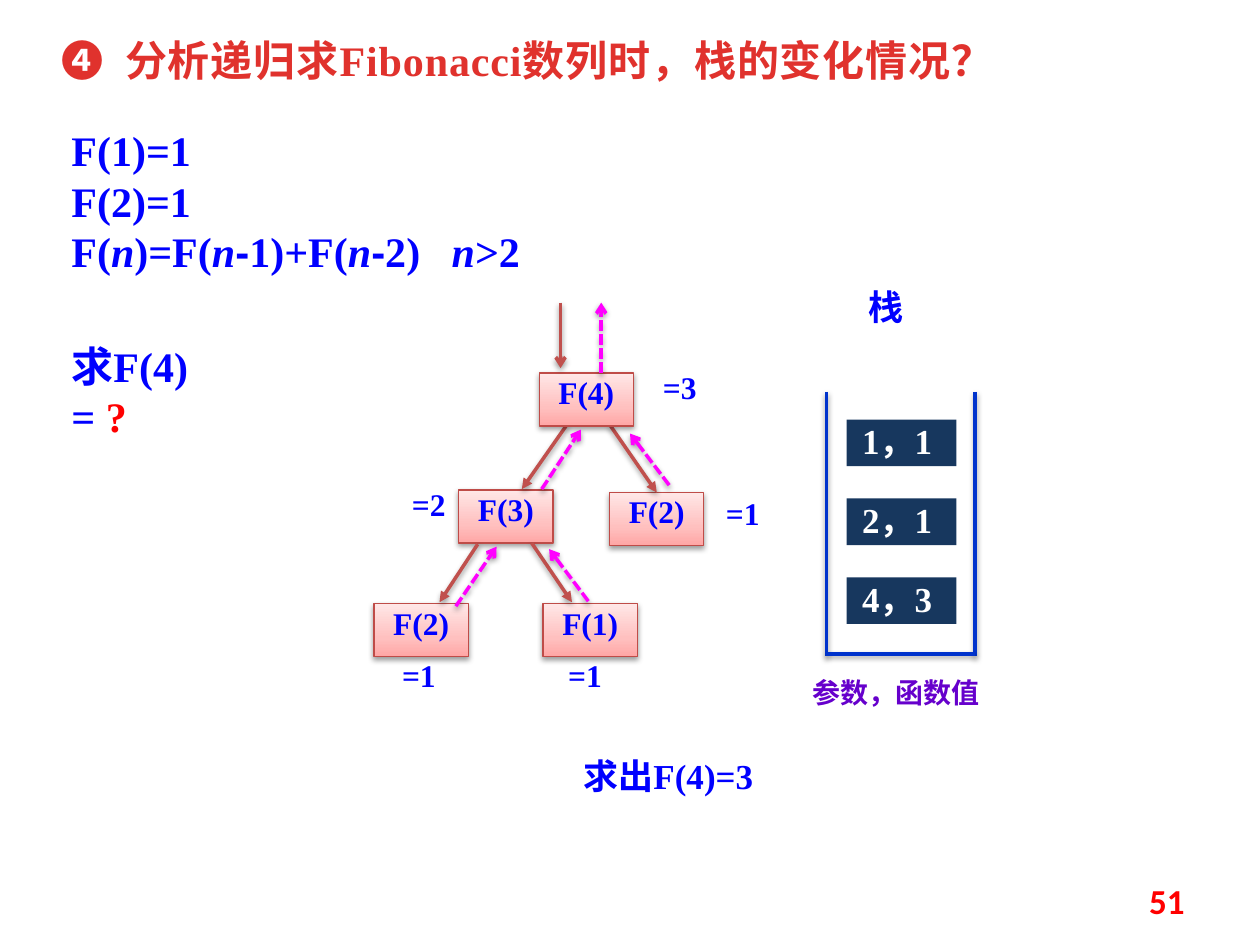
from pptx import Presentation
from pptx.dml.color import RGBColor
from pptx.enum.dml import MSO_LINE
from pptx.enum.shapes import MSO_CONNECTOR, MSO_SHAPE
from pptx.enum.text import MSO_ANCHOR, MSO_AUTO_SIZE, PP_ALIGN
from pptx.oxml import parse_xml
from pptx.oxml.ns import nsdecls
from pptx.util import Cm, Pt

BLUE = RGBColor(0x00, 0x00, 0xFF)
RED = RGBColor(0xFF, 0x00, 0x00)
TITLE_RED = RGBColor(0xE0, 0x32, 0x2D)
PURPLE = RGBColor(0x66, 0x00, 0xCC)
WHITE = RGBColor(0xFF, 0xFF, 0xFF)
NAVY = RGBColor(0x17, 0x37, 0x5E)
STACK_BLUE = RGBColor(0x00, 0x33, 0xCC)
BRICK = RGBColor(0xC0, 0x50, 0x4D)
NODE_EDGE = RGBColor(0xBF, 0x4C, 0x48)
MAGENTA = RGBColor(0xFF, 0x00, 0xFF)
SERIF = "Times New Roman"
CJK = "Noto Sans CJK SC"
NODE_STOPS = ((0, "FFA6A5"), (35000, "FFC0BF"), (100000, "FFE7E7"))


def write(p, text, size=18, color=BLUE, font=SERIF, bold=True, italic=False, spacing=None):
    r = p.add_run()
    r.text = text
    r.font.size = Pt(size)
    r.font.bold = bold
    r.font.italic = italic
    r.font.color.rgb = color
    r.font.name = font
    rpr = r.font._element
    rpr.append(parse_xml(f'<a:ea {nsdecls("a")} typeface="{CJK}"/>'))
    if spacing:
        rpr.set("spc", str(spacing))


class SlideBuilder:
    """Draws text, tree nodes, stack cells and lines in one style on a slide."""

    def __init__(self, slide):
        self.shapes = slide.shapes

    def box(self, x, y, w, h, align=PP_ALIGN.LEFT, inset=True, grow=True):
        sp = self.shapes.add_textbox(Cm(x), Cm(y), Cm(w), Cm(h))
        return self.frame(sp, align, inset, grow)

    def frame(self, sp, align, inset=True, grow=False):
        tf = sp.text_frame
        tf.word_wrap = True
        tf.vertical_anchor = MSO_ANCHOR.TOP
        if grow:
            tf.auto_size = MSO_AUTO_SIZE.SHAPE_TO_FIT_TEXT
        if not inset:
            tf.margin_left = tf.margin_right = tf.margin_top = tf.margin_bottom = 0
        tf.paragraphs[0].alignment = align
        return tf

    def text(self, x, y, w, h, text, align=PP_ALIGN.LEFT, inset=True, **style):
        tf = self.box(x, y, w, h, align, inset)
        write(tf.paragraphs[0], text, **style)
        return tf

    def shadow(self, sp):
        sp._element.spPr.append(parse_xml(
            f'<a:effectLst {nsdecls("a")}><a:outerShdw blurRad="40000" dist="20000" '
            'dir="5400000" rotWithShape="0"><a:srgbClr val="000000">'
            '<a:alpha val="38000"/></a:srgbClr></a:outerShdw></a:effectLst>'))

    def node(self, x, y, text):
        sp = self.shapes.add_shape(MSO_SHAPE.RECTANGLE, Cm(x), Cm(y), Cm(1.9), Cm(1.07))
        sp.line.color.rgb = NODE_EDGE
        sp.line.width = Pt(0.75)
        stops = "".join(f'<a:gs pos="{pos}"><a:srgbClr val="{rgb}"/></a:gs>'
                        for pos, rgb in NODE_STOPS)
        sp._element.spPr.insert(2, parse_xml(
            f'<a:gradFill {nsdecls("a")} rotWithShape="1"><a:gsLst>{stops}</a:gsLst>'
            '<a:lin ang="16200000" scaled="0"/></a:gradFill>'))
        self.shadow(sp)
        p = self.frame(sp, PP_ALIGN.CENTER).paragraphs[0]
        p.line_spacing = Pt(18)
        write(p, text)
        return sp

    def cell(self, x, y, text):
        sp = self.shapes.add_shape(MSO_SHAPE.RECTANGLE, Cm(x), Cm(y), Cm(2.21), Cm(0.94))
        sp.shadow.inherit = False
        sp.fill.solid()
        sp.fill.fore_color.rgb = NAVY
        sp.line.fill.background()
        tf = self.frame(sp, PP_ALIGN.CENTER, inset=False, grow=True)
        write(tf.paragraphs[0], text, size=20, color=WHITE)

    def line(self, x1, y1, x2, y2, color, head=None, dashed=False, to=None):
        cn = self.shapes.add_connector(MSO_CONNECTOR.STRAIGHT, Cm(x1), Cm(y1), Cm(x2), Cm(y2))
        cn.line.color.rgb = color
        cn.line.width = Pt(2)
        if dashed:
            cn.line.dash_style = MSO_LINE.SQUARE_DOT
        if head:
            cn.line._get_or_add_ln().append(
                parse_xml(f'<a:tailEnd {nsdecls("a")} type="{head}"/>'))
        self.shadow(cn)
        if to is not None:
            cn.end_connect(to, 0)


def main():
    prs = Presentation()
    prs.slide_width, prs.slide_height = Cm(25.4), Cm(19.05)
    s = SlideBuilder(prs.slides.add_slide(prs.slide_layouts[6]))

    tf = s.text(1.19, 2.39, 10.52, 3.56, "F(1)=1", size=24)
    write(tf.add_paragraph(), "F(2)=1", size=24)
    p = tf.add_paragraph()
    for piece in ("F(", "n", ")=F(", "n", "-", "1)+F(", "n", "-", "2)   ", "n", ">2"):
        write(p, piece, size=24, italic=piece == "n", font="Arial" if piece == "-" else SERIF)

    s.node(7.54, 12.17, "F(2)")
    s.node(10.95, 12.17, "F(1)")
    s.node(9.25, 9.88, "F(3)")
    right = s.node(12.29, 9.93, "F(2)")
    for ends, target in (((9.63, 10.97, 8.86, 12.14), None), ((10.72, 10.95, 11.53, 12.14), None),
                         ((11.43, 8.56, 10.52, 9.86), None), ((12.29, 8.56, 13.24, 9.93), right)):
        s.line(*ends, BRICK, head="triangle", to=target)
    s.node(10.87, 7.52, "F(4)")

    s.text(0.99, 0.58, 19.25, 1.4, "❹  分析递归求Fibonacci数列时，栈的变化情况？",
           size=24, color=TITLE_RED, spacing=50)

    for ends in ((16.66, 7.9, 16.66, 13.23), (19.66, 7.9, 19.66, 13.23),
                 (16.66, 13.18, 19.66, 13.18)):
        s.line(*ends, STACK_BLUE)

    for x, y, value in ((7.85, 13.23, "=1"), (11.2, 13.23, "=1"), (8.05, 9.78, "=2"),
                        (14.38, 9.96, "=1"), (13.11, 7.42, "=3")):
        s.text(x, y, 1.19, 0.84, value, align=PP_ALIGN.CENTER, inset=False)

    tf = s.text(1.19, 6.73, 3.96, 1.3, "求F(4) = ", size=24)
    write(tf.paragraphs[0], "?", size=24, color=RED)
    s.text(16.87, 5.64, 1.98, 1.19, "栈", align=PP_ALIGN.CENTER, size=20, font=CJK)
    s.text(11.51, 15.09, 4.78, 1.19, "求出F(4)=3", size=20)
    s.text(15.88, 13.49, 4.37, 1.02, "参数，函数值", align=PP_ALIGN.CENTER,
           size=16, color=PURPLE, font=CJK)

    for i, entry in enumerate(("1，1 ", "2，1 ", "4，3 ")):
        s.cell(17.07, 8.46 + 1.59 * i, entry)

    for ends in ((10.92, 9.86, 11.71, 8.66), (9.19, 12.22, 10.01, 11.02),
                 (11.86, 12.12, 11.07, 11.07), (13.49, 9.78, 12.7, 8.74),
                 (12.12, 7.52, 12.12, 6.1)):
        s.line(*ends, MAGENTA, head="arrow", dashed=True)
    s.line(11.3, 6.1, 11.3, 7.42, BRICK, head="arrow")

    tf = s.box(18.21, 17.65, 5.92, 1.02, PP_ALIGN.RIGHT, grow=False)
    tf.vertical_anchor = MSO_ANCHOR.MIDDLE
    write(tf.paragraphs[0], "51", size=20, color=RED, font="Calibri")

    prs.save("out.pptx")


if __name__ == "__main__":
    main()
